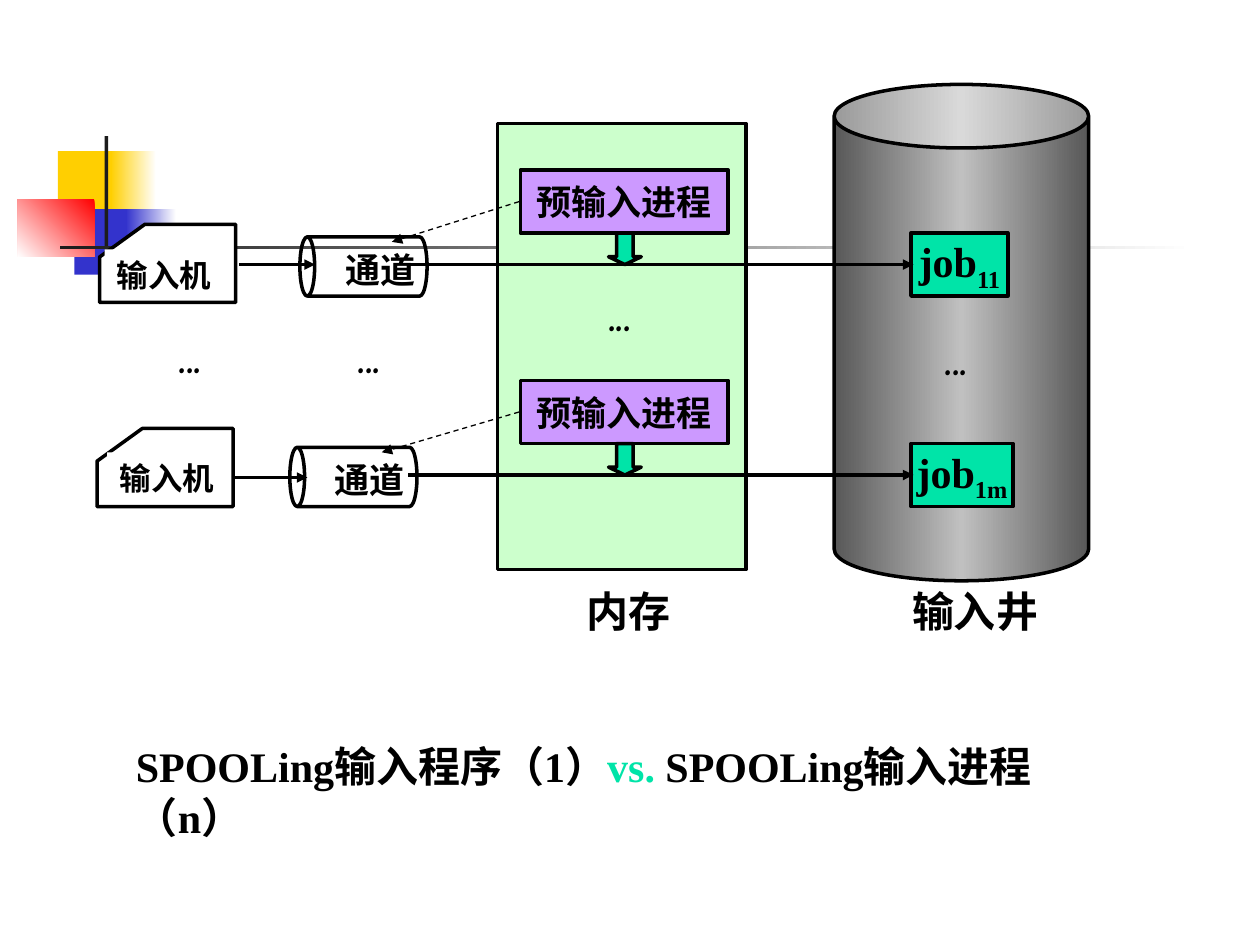
"""Build the SPOOLing input slide: devices, channels, memory and input well."""
from copy import deepcopy

from lxml import etree
from pptx import Presentation
from pptx.dml.color import RGBColor
from pptx.enum.dml import MSO_LINE
from pptx.enum.shapes import MSO_CONNECTOR, MSO_SHAPE
from pptx.enum.text import MSO_ANCHOR, PP_ALIGN
from pptx.oxml.ns import qn
from pptx.util import Inches, Pt

RECT, CAN, DOWN = MSO_SHAPE.RECTANGLE, MSO_SHAPE.CAN, MSO_SHAPE.DOWN_ARROW
STRAIGHT, DASH = MSO_CONNECTOR.STRAIGHT, MSO_LINE.DASH
TOP, MIDDLE = MSO_ANCHOR.TOP, MSO_ANCHOR.MIDDLE
LEFT, CENTER = PP_ALIGN.LEFT, PP_ALIGN.CENTER
BLACK = RGBColor(0x00, 0x00, 0x00)
WHITE = RGBColor(0xFF, 0xFF, 0xFF)
INK = RGBColor(0x1C, 0x1C, 0x1C)
YELLOW = RGBColor(0xFF, 0xCF, 0x01)
BLUE = RGBColor(0x33, 0x33, 0xCC)
RED = RGBColor(0xFF, 0x00, 0x00)
DARK_GREY = RGBColor(0x58, 0x58, 0x58)
SILVER = RGBColor(0xC0, 0xC0, 0xC0)
GREEN = RGBColor(0x00, 0xE4, 0xA8)
MINT = RGBColor(0xCC, 0xFF, 0xCC)
PURPLE = RGBColor(0xCC, 0x99, 0xFF)
SERIF, COMIC, SANS = "Times New Roman", "Comic Neue", "Lato"
FIRST_ROW, ROW_PITCH = 2.1, 1.67

prs = Presentation()
prs.slide_width, prs.slide_height = Inches(10), Inches(7.5)
s = prs.slides.add_slide(prs.slide_layouts[6])


def style(sp, fill=None, outlined=True, angle=180):
    sp.shadow.inherit = False
    if isinstance(fill, list):
        sp.fill.gradient()
        sp.fill.gradient_angle = angle
        stops = sp._element.spPr.find(qn("a:gradFill")).find(qn("a:gsLst"))
        for _ in fill[2:]:
            stops.append(deepcopy(stops[-1]))
        for i, (stop, color) in enumerate(zip(sp.fill.gradient_stops, fill)):
            stop.position = i / (len(fill) - 1)
            stop.color.rgb = color
    elif fill is None:
        sp.fill.background()
    else:
        sp.fill.solid()
        sp.fill.fore_color.rgb = fill
    if outlined:
        sp.line.color.rgb = BLACK
        sp.line.width = Pt(2)
    else:
        sp.line.fill.background()
    return sp


def write(sp, runs, size=24, font=SERIF, boxed=False):
    tf = sp.text_frame
    tf.word_wrap = not boxed
    tf.vertical_anchor = MIDDLE if boxed else TOP
    p = tf.paragraphs[0]
    p.alignment = CENTER if boxed else LEFT
    for text, color in runs:
        r = p.add_run()
        r.text = text
        for key, value in {"name": font, "size": Pt(size), "bold": True}.items():
            setattr(r.font, key, value)
        r.font.color.rgb = color
    return p


for x, y, w, h, fill, angle in [
    (0.46, 1.2, 0.48, 0.52, YELLOW, 0),
    (0.88, 1.2, 0.36, 0.52, [WHITE, YELLOW], 180),
    (0.59, 1.66, 0.46, 0.52, BLUE, 0),
    (1, 1.66, 0.4, 0.52, [WHITE, BLUE], 180),
    (0.14, 1.58, 0.61, 0.46, [RED, WHITE], 225),
    (0.83, 1.08, 0.03, 1.15, INK, 0),
    (0.48, 1.95, 9, 0.03, [WHITE, INK], 180),
]:
    sp = s.shapes.add_shape(RECT, Inches(x), Inches(y), Inches(w), Inches(h))
    style(sp, fill, False, angle)

well = s.shapes.add_shape(CAN, Inches(6.62), Inches(0.67), Inches(2.02), Inches(3.94))
style(well, [DARK_GREY, SILVER, DARK_GREY])
memory = s.shapes.add_shape(RECT, Inches(3.95), Inches(0.98), Inches(1.97), Inches(3.54))
style(memory, MINT)

for i, (device_x, label_x, channel_x, link_x, job_w, sub, font) in enumerate([
    (0.79, 0.83, 2.38, 1.9, 0.77, "11", SANS),
    (0.77, 0.85, 2.3, 1.84, 0.81, "1m", SERIF),
]):
    y = FIRST_ROW + i * ROW_PITCH
    top = (1.78, 3.4)[i]
    device = s.shapes.build_freeform(
        Inches(device_x + 0.36), Inches(top), scale=1.0)
    device.add_line_segments([(Inches(device_x + dx), Inches(top + dy)) for dx, dy in
                              [(1.08, 0), (1.08, 0.62), (0, 0.62), (0, 0.26)]])
    style(device.convert_to_shape(), WHITE)
    sp = s.shapes.add_shape(RECT, Inches(label_x), Inches((1.98, 3.59)[i]),
                            Inches(0.98), Inches(0.4))
    write(style(sp, WHITE, False), [("输入机", BLACK)], 18)

    channel = s.shapes.add_shape(CAN, Inches(channel_x + 0.27), Inches(y - 0.49),
                                 Inches(0.47), Inches(1.01))
    channel.rotation = 270
    style(channel)
    sp = s.shapes.add_textbox(Inches(channel_x + 0.26), Inches(y - 0.18),
                              Inches(0.94), Inches(0.44))
    write(sp, [("通道", BLACK)], 20)

    sp = s.shapes.add_shape(RECT, Inches(7.23), Inches(y - 0.25), Inches(job_w), Inches(0.5))
    p = write(style(sp, GREEN), [("job", BLACK), (sub, BLACK)], boxed=True)
    p.runs[1].font._element.set("baseline", "-25000")
    sp = s.shapes.add_shape(RECT, Inches(4.13), Inches(y - 0.75), Inches(1.65), Inches(0.5))
    write(style(sp, PURPLE), [("预输入进程", BLACK)], 20, font, boxed=True)

    link_y = y + 0.02 * i
    for x1, y1, x2, y2, width in [
        (link_x, link_y, link_x + 0.6, link_y, 2),
        (3.24, y, 7.25, y, 2),
        (4.12, y - 0.5, channel_x + 0.73, y - 0.18, 0.75),
    ]:
        c = s.shapes.add_connector(STRAIGHT, Inches(x1), Inches(y1), Inches(x2), Inches(y2))
        c.line.color.rgb = BLACK
        c.line.width = Pt(width)
        if width < 1:
            c.line.dash_style = DASH
        etree.SubElement(c.line._get_or_add_ln(), qn("a:tailEnd"), type="triangle")
        etree.SubElement(c._element.spPr, qn("a:effectLst"))

    arrow = s.shapes.add_shape(DOWN, Inches(4.83), Inches(y - 0.25), Inches(0.26), Inches(0.25))
    arrow.adjustments[1] = 0.25
    style(arrow, GREEN)

for x, y, w, h, font, runs in [
    (1.32, 2.58, 0.51, 0.5, COMIC, [("...", BLACK)]),
    (2.74, 2.58, 0.51, 0.5, COMIC, [("...", BLACK)]),
    (4.73, 2.25, 0.68, 0.5, COMIC, [("...", BLACK)]),
    (7.4, 2.6, 0.6, 0.5, COMIC, [("...", BLACK)]),
    (4.56, 4.6, 1.02, 0.5, SERIF, [("内存", BLACK)]),
    (7.14, 4.6, 1.36, 0.5, SERIF, [("输入井", BLACK)]),
    (0.98, 5.83, 7.93, 0.9, SERIF, [("SPOOLing输入程序（1）", BLACK), ("vs.", GREEN),
                                    (" SPOOLing输入进程（n）", BLACK)]),
]:
    sp = s.shapes.add_textbox(Inches(x), Inches(y), Inches(w), Inches(h))
    write(sp, runs, font=font)

prs.save("out.pptx")
